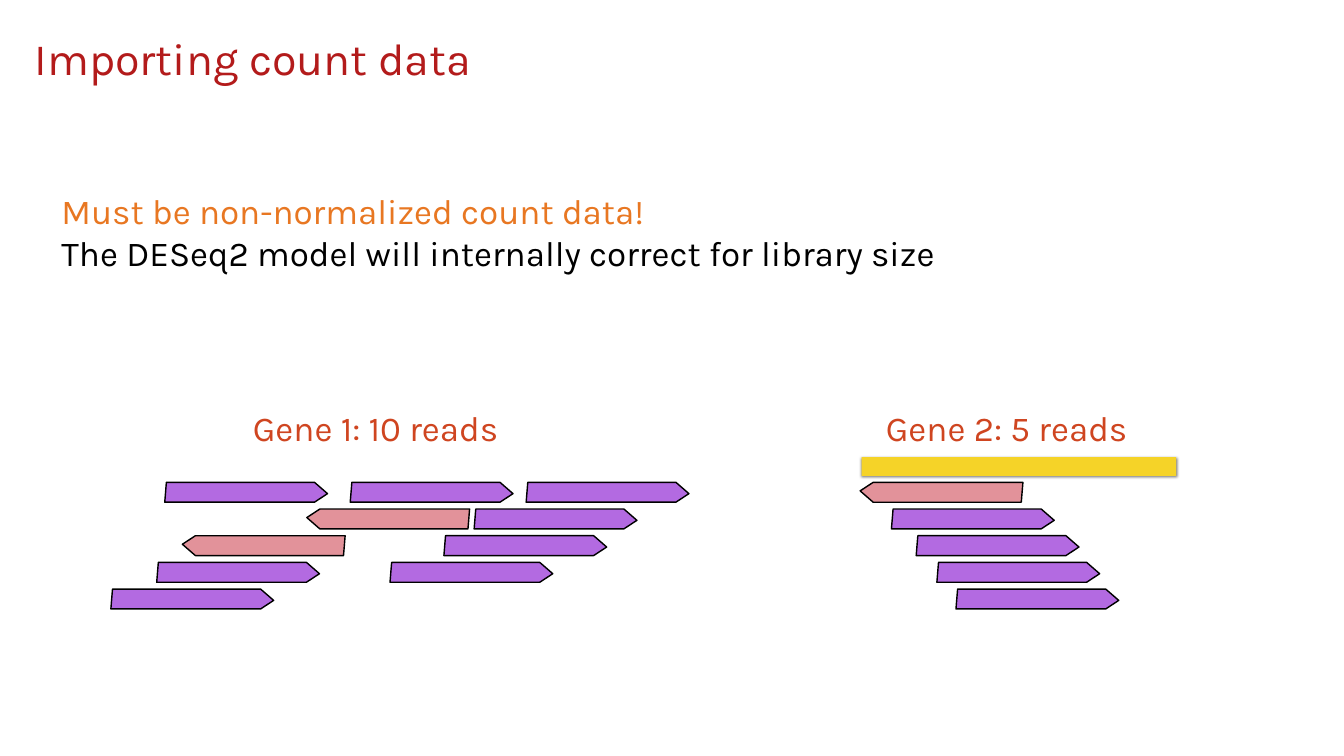
from typing import NamedTuple

from lxml.etree import SubElement
from pptx import Presentation
from pptx.dml.color import RGBColor
from pptx.enum.shapes import MSO_SHAPE
from pptx.enum.text import MSO_ANCHOR, MSO_AUTO_SIZE, PP_ALIGN
from pptx.oxml.ns import qn
from pptx.util import Inches, Pt

RED = RGBColor(0xB3, 0x1B, 0x1B)
ORANGE = RGBColor(0xE8, 0x77, 0x22)
RUST = RGBColor(0xCF, 0x45, 0x20)
BLACK = RGBColor(0, 0, 0)
PURPLE = RGBColor(0xB3, 0x6A, 0xE1)
PINK = RGBColor(0xE2, 0x92, 0x9A)
YELLOW = RGBColor(0xF5, 0xD3, 0x28)

# The slide is a grid of 100 columns by 100 rows
WIDE, HIGH = Inches(26.67), Inches(15)
COL, ROW = WIDE / 100, HIGH / 100

# Reads lie in lanes; their outline is in shares of their own size
TOP, PITCH = 63.8, 3.53
LONG, TALL = 12.11, 2.63
OUTLINE = [(0.01, 0), (0.92, 0), (1, 0.57), (0.92, 1), (0, 1)]


class Box(NamedTuple):
    col: float
    row: float
    cols: float
    rows: float


class Line(NamedTuple):
    text: str
    color: RGBColor
    size: int = 50


class Read(NamedTuple):
    col: float
    lane: int
    back: bool = False


class Gene(NamedTuple):
    label: str
    box: Box
    reads: list[Read]


GENES = [
    Gene("Gene 1: 10 reads", Box(18.52, 53.67, 20.7, 5.73), [
        Read(12.26, 0), Read(26.06, 0), Read(39.15, 0),
        Read(22.83, 1, True), Read(35.28, 1),
        Read(13.57, 2, True), Read(33.03, 2),
        Read(11.66, 3), Read(29.02, 3),
        Read(8.25, 4),
    ]),
    Gene("Gene 2: 5 reads", Box(65.62, 53.67, 20.32, 5.73), [
        Read(64, 0, True), Read(66.33, 1), Read(68.17, 2),
        Read(69.71, 3), Read(71.13, 4),
    ]),
]


def scale(box: Box) -> list[int]:
    return [round(n * unit) for n, unit in zip(box, (COL, ROW) * 2)]


def apply(item, values: dict) -> None:
    for name, value in values.items():
        setattr(item, name, value)


def write(shape, box: Box, lines: list[Line], anchor, wrap: bool) -> None:
    apply(shape, dict(zip(("left", "top", "width", "height"), scale(box))))
    frame = shape.text_frame
    pad = Inches(0.08)
    apply(frame, {
        "word_wrap": wrap, "auto_size": MSO_AUTO_SIZE.NONE,
        "vertical_anchor": anchor, "margin_left": pad, "margin_right": pad,
        "margin_top": pad, "margin_bottom": pad,
    })
    for i, line in enumerate(lines):
        para = frame.add_paragraph() if i else frame.paragraphs[0]
        para.alignment = PP_ALIGN.LEFT
        run = para.add_run()
        run.text = line.text
        apply(run.font, {"name": "Karla", "size": Pt(line.size)})
        run.font.color.rgb = line.color


def paint(shape, color: RGBColor) -> None:
    shape.shadow.inherit = False
    shape.fill.solid()
    shape.fill.fore_color.rgb = color


def draw_read(shapes, read: Read) -> None:
    left, top, width, height = scale(
        Box(read.col, TOP + read.lane * PITCH, LONG, TALL))
    spots = [(round(left + x * width), round(top + y * height))
             for x, y in OUTLINE]
    pen = shapes.build_freeform(*spots[0])
    pen.add_line_segments(spots[1:], close=True)
    shape = pen.convert_to_shape()
    paint(shape, PINK if read.back else PURPLE)
    shape.line.color.rgb = BLACK
    shape.line.width = Pt(2)
    shape.rotation = 180 if read.back else 0


def draw_bar(shapes, box: Box) -> None:
    bar = shapes.add_shape(MSO_SHAPE.RECTANGLE, *scale(box))
    paint(bar, YELLOW)
    bar.line.fill.background()
    # Soft shadow straight below
    effects = bar._element.spPr.find(qn("a:effectLst"))
    shade = SubElement(effects, qn("a:outerShdw"), blurRad=str(Pt(4)),
                       dist=str(Pt(2)), dir="5400000", rotWithShape="0")
    tint = SubElement(shade, qn("a:srgbClr"), val=str(BLACK))
    SubElement(tint, qn("a:alpha"), val="50000")


def main() -> None:
    deck = Presentation()
    apply(deck, {"slide_width": WIDE, "slide_height": HIGH})
    shapes = deck.slides.add_slide(deck.slide_layouts[5]).shapes

    # Title and message
    write(shapes.title, Box(2.29, 4.13, 34.68, 7),
          [Line("Importing count data", RED, 64)], MSO_ANCHOR.MIDDLE, False)
    write(shapes.add_textbox(0, 0, 0, 0), Box(4.27, 24.47, 88.53, 17.33), [
        Line("Must be non-normalized count data!", ORANGE),
        Line("The DESeq2 model will internally correct for library size",
             BLACK),
    ], MSO_ANCHOR.TOP, True)

    # Genes with their reads
    draw_bar(shapes, Box(64.12, 60.47, 23.4, 2.47))
    for gene in GENES:
        for read in gene.reads:
            draw_read(shapes, read)
        write(shapes.add_textbox(0, 0, 0, 0), gene.box,
              [Line(gene.label, RUST)], MSO_ANCHOR.MIDDLE, False)

    deck.save("out.pptx")


if __name__ == "__main__":
    main()
